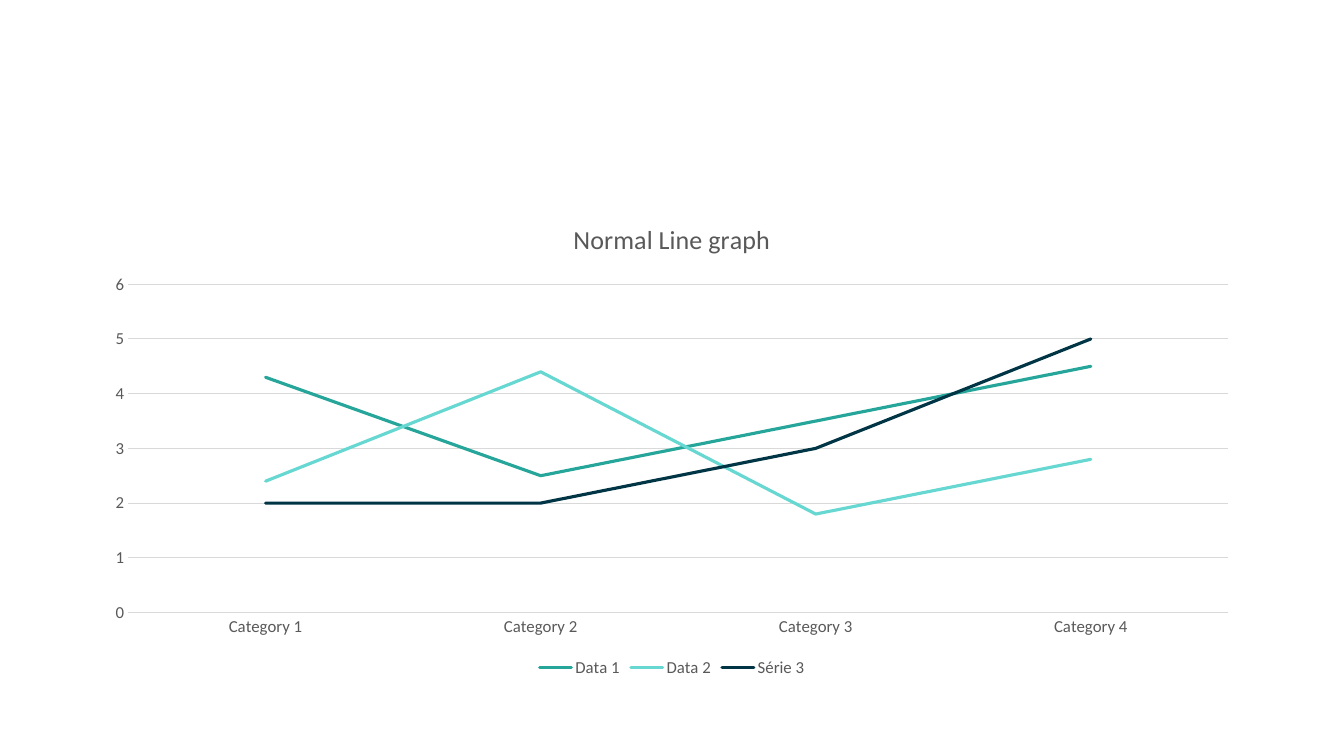
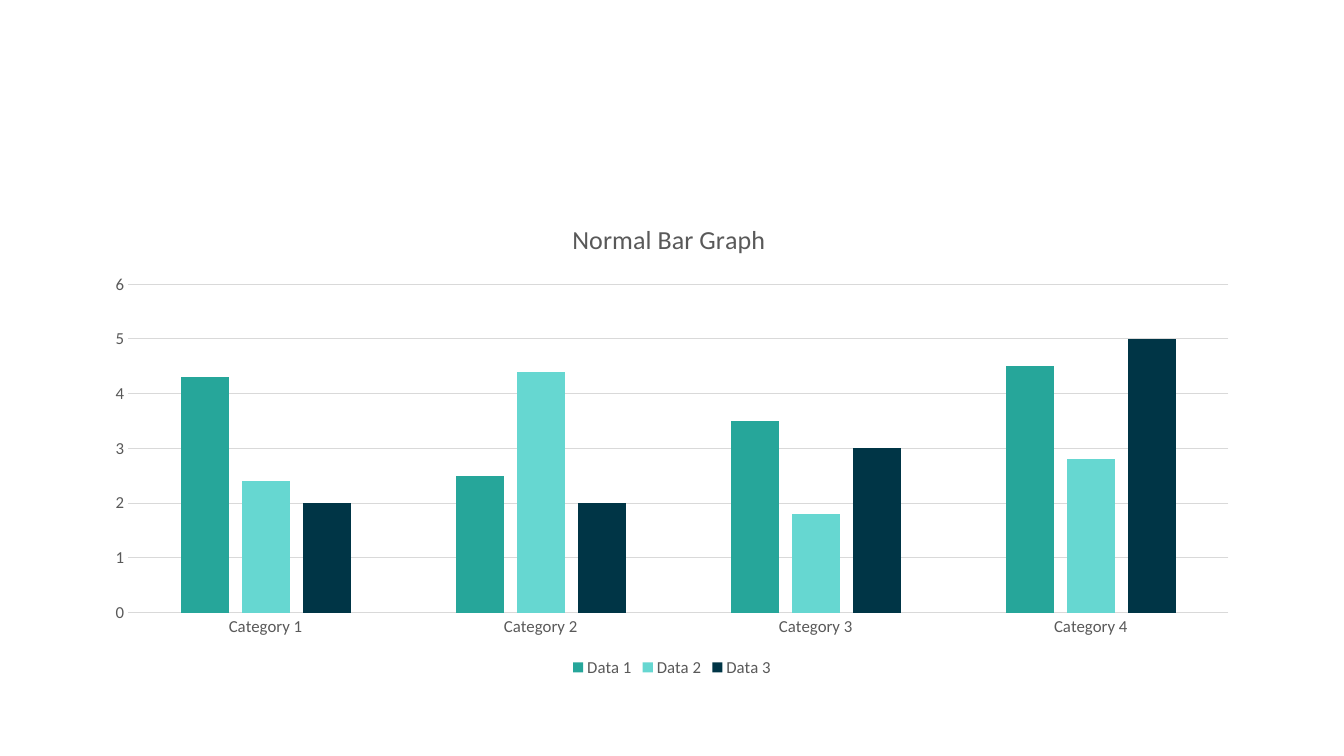
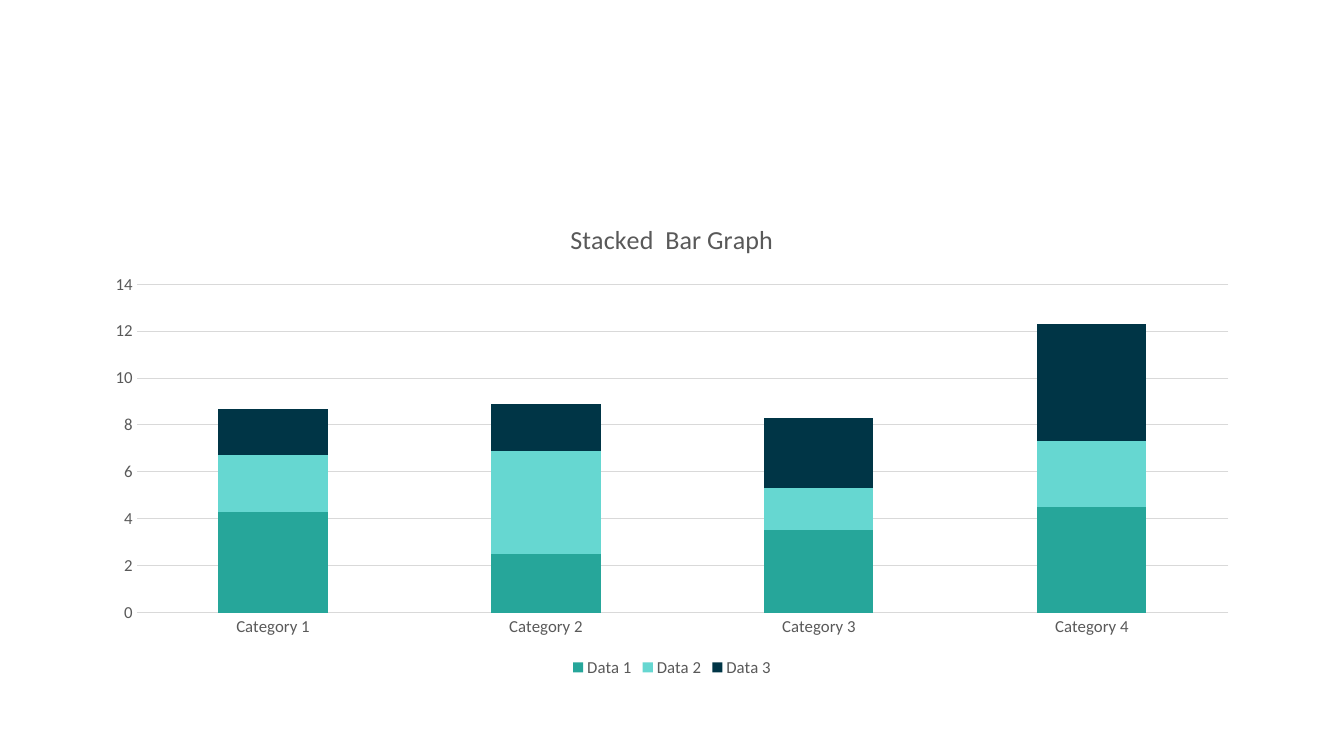
from dataclasses import dataclass

from lxml.etree import SubElement
from pptx import Presentation
from pptx.chart.data import CategoryChartData as Data
from pptx.dml.color import RGBColor as RGB
from pptx.enum.chart import XL_CHART_TYPE as Kind
from pptx.enum.chart import XL_LEGEND_POSITION as Place
from pptx.enum.chart import XL_TICK_MARK as Tick
from pptx.oxml.ns import qn
from pptx.util import Pt


@dataclass(frozen=True)
class Theme:
    """Colours, type sizes and the frame shared by all slides."""
    face: str = "Calibri"
    ink: str = "595959"
    rule: str = "D9D9D9"
    hues: tuple = ("26A69A", "66D7D1", "003546")
    head: float = 18.6
    body: float = 12
    thin: float = 0.75
    thick: float = 2.25
    page: tuple = (960, 540)
    box: tuple = (66, 144, 828, 342.7)


def style(font, face, size, hue):
    font.name, font.size, font.bold = face, Pt(size), False
    font.color.rgb = RGB.from_string(hue)


def write(frame, text, **form):
    frame.text = text
    style(frame.paragraphs[0].runs[0].font, **form)


def stroke(line, hue, width):
    line.color.rgb = RGB.from_string(hue)
    line.width = Pt(width)


class Deck:
    def __init__(self, theme):
        self.theme = theme
        self.show = Presentation()
        self.show.slide_width, self.show.slide_height = map(Pt, theme.page)
        self.slide = None

    def page(self):
        self.slide = self.show.slides.add_slide(self.show.slide_layouts[6])

    def chart(self, kind, title, cats, rows, gap=None, lap=None):
        look = self.theme
        data = Data()
        data.categories = cats
        for name, vals in rows.items():
            data.add_series(name, vals)
        chart = self.slide.shapes.add_chart(
            kind, *map(Pt, look.box), data).chart
        style(chart.font, look.face, look.body, look.ink)

        # Title and legend
        chart.has_title = True
        write(chart.chart_title.text_frame, title,
              face=look.face, size=look.head, hue=look.ink)
        chart.chart_title.include_in_layout = False
        chart.has_legend = True
        chart.legend.position = Place.BOTTOM
        chart.legend.include_in_layout = False

        self.axes(chart)
        plot = chart.plots[0]
        plot.vary_by_categories = False
        if kind == Kind.LINE:
            self.lines(plot)
        else:
            self.bars(plot, gap, lap)

    def axes(self, chart):
        look = self.theme
        cat, val = chart.category_axis, chart.value_axis
        for axis in (cat, val):
            axis.major_tick_mark = axis.minor_tick_mark = Tick.NONE
            style(axis.tick_labels.font, look.face, look.body, look.ink)
        stroke(cat.format.line, look.rule, look.thin)
        val.format.line.fill.background()
        val.has_major_gridlines = True
        stroke(val.major_gridlines.format.line, look.rule, look.thin)

    def lines(self, plot):
        for row, hue in zip(plot.series, self.theme.hues):
            row.smooth = False
            stroke(row.format.line, hue, self.theme.thick)
            # Round ends and joins
            for line in row._element.iter(qn("a:ln")):
                line.set("cap", "rnd")
                SubElement(line, qn("a:round"))

    def bars(self, plot, gap, lap):
        plot.gap_width, plot.overlap = gap, lap
        for row, hue in zip(plot.series, self.theme.hues):
            row.invert_if_negative = False
            row.format.fill.solid()
            row.format.fill.fore_color.rgb = RGB.from_string(hue)


# Shared data
cats = [f"Category {n}" for n in range(1, 5)]
vals = [(4.3, 2.5, 3.5, 4.5), (2.4, 4.4, 1.8, 2.8), (2, 2, 3, 5)]
line_rows = dict(zip(("Data 1", "Data 2", "Série 3"), vals))
bar_rows = dict(zip(("Data 1", "Data 2", "Data 3"), vals))

deck = Deck(Theme())

# Line graph
deck.page()
deck.chart(Kind.LINE, "Normal Line graph", cats, line_rows)

# Bar graph
deck.page()
deck.chart(Kind.COLUMN_CLUSTERED, "Normal Bar Graph ", cats, bar_rows,
           gap=219, lap=-27)

# Stacked bar graph
deck.page()
deck.chart(Kind.COLUMN_STACKED, "Stacked  Bar Graph", cats, bar_rows,
           gap=150, lap=100)

deck.show.save("out.pptx")
